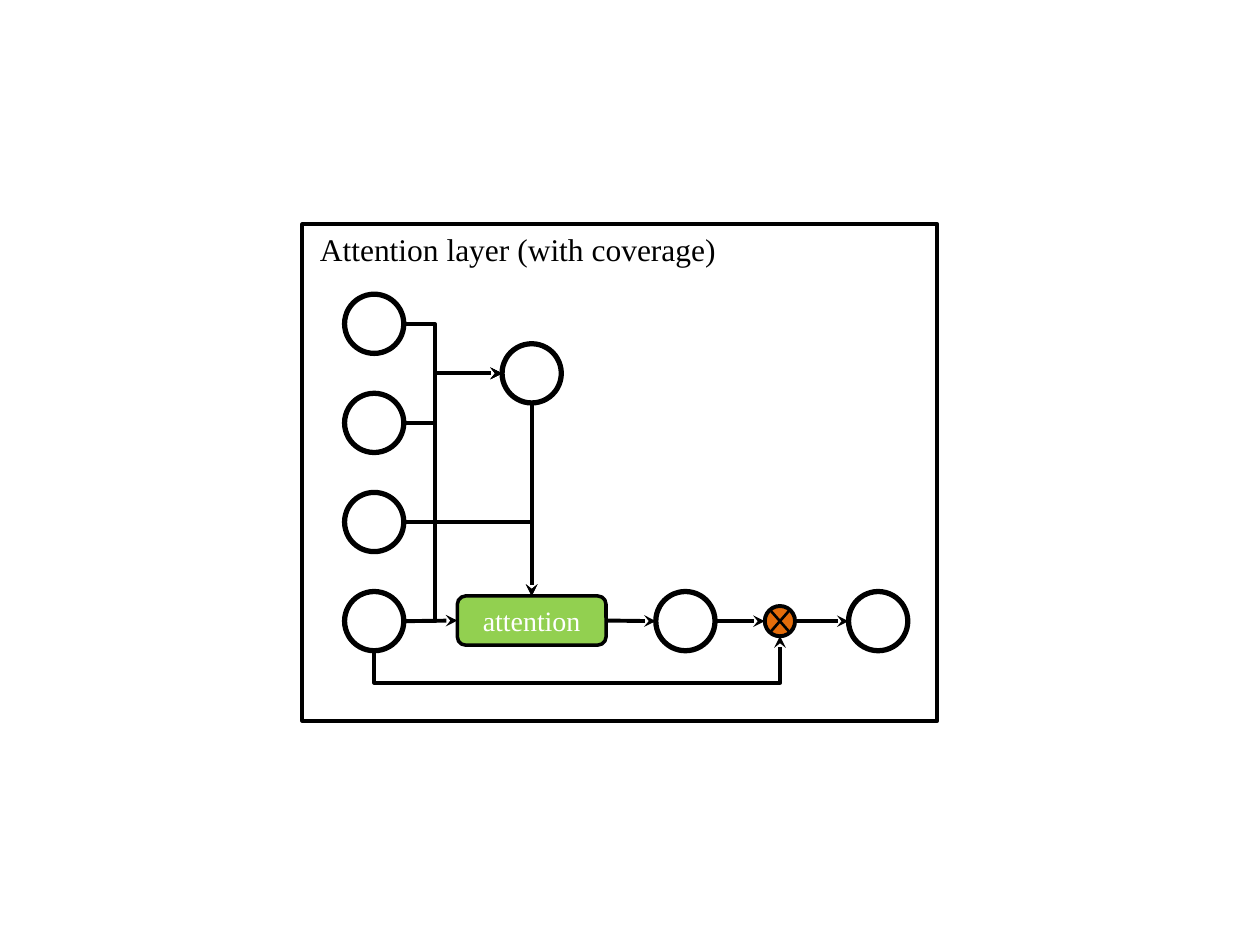
"""Build a slide with a diagram of an attention layer with coverage."""
from dataclasses import dataclass

from lxml import etree
from pptx import Presentation
from pptx.dml.color import RGBColor
from pptx.enum import shapes, text
from pptx.oxml import ns
from pptx.util import Inches, Pt


@dataclass(frozen=True)
class Theme:
    ink: str = "000000"
    light: str = "FFFFFF"
    attention: str = "92D050"
    product: str = "E46C0A"
    font: str = "Times New Roman"
    title_size: float = 18
    label_size: float = 16
    circle_line: float = 3
    line: float = 2.25
    box_line: float = 2
    cross_line: float = 1.5


THEME = Theme()
TITLE = "Attention layer (with coverage)"
LABEL = "attention"
FRAME = (2.4, 1.78, 5.04, 3.94)
TITLE_BOX = (2.44, 1.78, 3.38, 0.4)
ATTENTION_BOX = (3.63, 4.73, 1.18, 0.39)

DIAMETER = 0.47
RADIUS = DIAMETER / 2
PRODUCT_DIAMETER = 0.24
PRODUCT_RADIUS = PRODUCT_DIAMETER / 2
INPUT_X, COVERAGE_X, CONTEXT_X, PRODUCT_X, OUTPUT_X = 2.97, 4.22, 5.44, 6.19, 6.97
FIRST_Y, MAIN_Y = 2.57, 4.93
INPUT_YS = [FIRST_Y + row * (MAIN_Y - FIRST_Y) / 3 for row in range(4)]
COVERAGE_Y = (INPUT_YS[0] + INPUT_YS[1]) / 2
BUS_X, LOOP_Y = 3.45, 5.42
CROSS = (0.07, 0.08)

CIRCLES = [(INPUT_X, y) for y in INPUT_YS] + [
    (COVERAGE_X, COVERAGE_Y), (CONTEXT_X, MAIN_Y), (OUTPUT_X, MAIN_Y)]


def write(shape, content, *, size, color, align=None):
    """Put one formatted line of text into a shape."""
    paragraph = shape.text_frame.paragraphs[0]
    paragraph.text = content
    paragraph.alignment = align
    paragraph.font.name = THEME.font
    paragraph.font.size = Pt(size)
    paragraph.font.color.rgb = RGBColor.from_string(color)


def add_shape(slide, kind, box, *, width, fill=None):
    """Add an outlined preset shape."""
    shape = slide.shapes.add_shape(kind, *map(Inches, box))
    shape.shadow.inherit = False
    if fill:
        shape.fill.solid()
        shape.fill.fore_color.rgb = RGBColor.from_string(fill)
    else:
        shape.fill.background()
    shape.line.color.rgb = RGBColor.from_string(THEME.ink)
    shape.line.width = Pt(width)
    return shape


def add_circle(slide, center, diameter, **style):
    """Add a circle around a centre point."""
    x, y = (value - diameter / 2 for value in center)
    return add_shape(slide, shapes.MSO_SHAPE.OVAL, (x, y, diameter, diameter), **style)


def add_line(slide, start, end, *, width=THEME.line, arrow=True,
             preset="line", bend=None, rotation=0):
    """Add a straight or bent connector."""
    straight = preset == "line"
    kind = shapes.MSO_CONNECTOR.STRAIGHT if straight else shapes.MSO_CONNECTOR.ELBOW
    connector = slide.shapes.add_connector(kind, *map(Inches, (*start, *end)))
    connector.line.color.rgb = RGBColor.from_string(THEME.ink)
    connector.line.width = Pt(width)
    properties = connector._element.spPr
    geometry = properties.find(ns.qn("a:prstGeom"))
    geometry.set("prst", preset)
    if bend is not None:
        guide = etree.SubElement(geometry.find(ns.qn("a:avLst")), ns.qn("a:gd"))
        guide.set("name", "adj1")
        guide.set("fmla", f"val {round(bend * 100000)}")
    if rotation:
        properties.find(ns.qn("a:xfrm")).set("rot", str(rotation * 60000))
    if arrow:
        tail = etree.SubElement(properties.find(ns.qn("a:ln")), ns.qn("a:tailEnd"))
        tail.set("type", "stealth")
    etree.SubElement(properties, ns.qn("a:effectLst"))
    return connector


def add_loop(slide, start, end):
    """Add the connector that runs below the row and up into the product."""
    center_x, center_y = (start[0] + end[0]) / 2, (start[1] + end[1]) / 2
    half_width, half_height = (start[1] - end[1]) / 2, (end[0] - start[0]) / 2
    add_line(slide, (center_x + half_width, center_y + half_height),
             (center_x - half_width, center_y - half_height),
             preset="bentConnector3", rotation=90,
             bend=(start[1] - LOOP_Y) / (start[1] - end[1]))


def main():
    """Build and save the slide."""
    presentation = Presentation()
    presentation.slide_width, presentation.slide_height = Inches(10), Inches(7.5)
    slide = presentation.slides.add_slide(presentation.slide_layouts[6])

    add_shape(slide, shapes.MSO_SHAPE.RECTANGLE, FRAME, width=THEME.line)
    title = slide.shapes.add_textbox(*map(Inches, TITLE_BOX))
    title.text_frame.word_wrap = False
    title.text_frame.auto_size = text.MSO_AUTO_SIZE.SHAPE_TO_FIT_TEXT
    write(title, TITLE, size=THEME.title_size, color=THEME.ink)

    for center in CIRCLES:
        add_circle(slide, center, DIAMETER, width=THEME.circle_line)
    attention = add_shape(slide, shapes.MSO_SHAPE.ROUNDED_RECTANGLE, ATTENTION_BOX,
                          width=THEME.box_line, fill=THEME.attention)
    attention.text_frame.vertical_anchor = text.MSO_ANCHOR.MIDDLE
    write(attention, LABEL, size=THEME.label_size, color=THEME.light,
          align=text.PP_ALIGN.CENTER)

    add_circle(slide, (PRODUCT_X, MAIN_Y), PRODUCT_DIAMETER,
               width=THEME.line, fill=THEME.product)
    dx, dy = CROSS
    for slope in (1, -1):
        add_line(slide, (PRODUCT_X - dx, MAIN_Y - slope * dy),
                 (PRODUCT_X + dx, MAIN_Y + slope * dy),
                 width=THEME.cross_line, arrow=False)

    input_right = INPUT_X + RADIUS
    left, top, width, _ = ATTENTION_BOX
    add_line(slide, (input_right, MAIN_Y), (left, MAIN_Y)).end_connect(attention, 1)
    add_line(slide, (left + width, MAIN_Y),
             (CONTEXT_X - RADIUS, MAIN_Y)).begin_connect(attention, 3)
    add_line(slide, (COVERAGE_X, COVERAGE_Y + RADIUS),
             (COVERAGE_X, top)).end_connect(attention, 0)
    add_line(slide, (CONTEXT_X + RADIUS, MAIN_Y), (PRODUCT_X - PRODUCT_RADIUS, MAIN_Y))
    add_line(slide, (PRODUCT_X + PRODUCT_RADIUS, MAIN_Y), (OUTPUT_X - RADIUS, MAIN_Y))

    coverage_left = COVERAGE_X - RADIUS
    bend = (BUS_X - input_right) / (coverage_left - input_right)
    for y in INPUT_YS:
        add_line(slide, (input_right, y), (coverage_left, COVERAGE_Y),
                 preset="bentConnector3", bend=bend)
    add_line(slide, (input_right, INPUT_YS[2]), (COVERAGE_X, top),
             preset="bentConnector2")
    add_loop(slide, (INPUT_X, MAIN_Y + RADIUS), (PRODUCT_X, MAIN_Y + PRODUCT_RADIUS))

    presentation.save("out.pptx")


if __name__ == "__main__":
    main()
